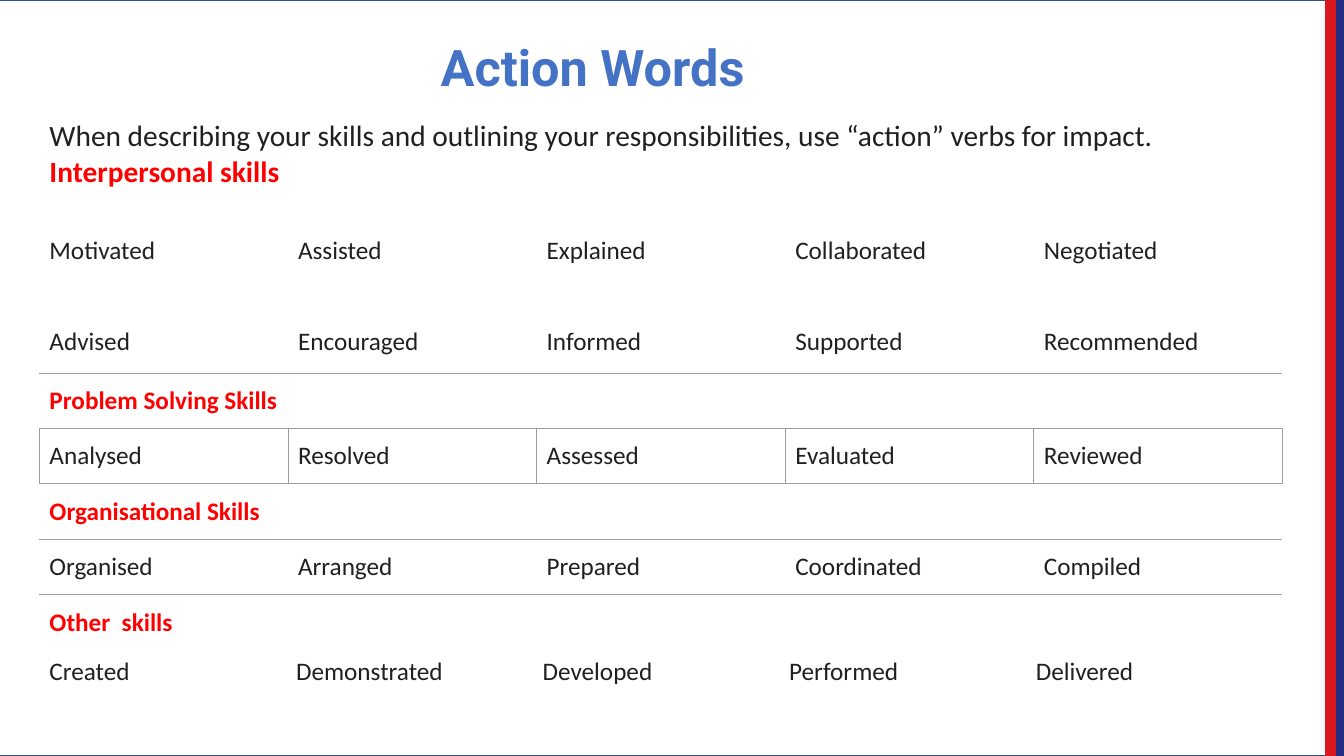
from pptx import Presentation
from pptx.dml.color import RGBColor
from pptx.enum.shapes import MSO_SHAPE
from pptx.enum.text import MSO_ANCHOR, PP_ALIGN
from pptx.oxml.ns import qn
from pptx.oxml.xmlchemy import OxmlElement
from pptx.util import Emu, Inches, Pt

RECTANGLE = MSO_SHAPE.RECTANGLE
MIDDLE, LEFT = MSO_ANCHOR.MIDDLE, PP_ALIGN.LEFT
INSET = Inches(0.1)
PLAIN_TABLE = "{2D5ABB26-0587-4C30-8999-92F81FD0307C}"
INK, RED, BLUE, RULE = "231F20", "FF0000", "4472C4", "9E9E9E"
INTRO = ("When describing your skills and outlining your responsibilities, "
         "use “action” verbs for impact.")

SKILL_ROWS = [
    (15.07, [INTRO + "\nInterpersonal skills"], ""),
    (12, ["Motivated", "Assisted", "Explained", "Collaborated", "Negotiated"], ""),
    (7.87, ["Advised", "Encouraged", "Informed", "Supported", "Recommended"], "B"),
    (7.33, ["Problem Solving Skills"], "TB"),
    (7.33, ["Analysed", "Resolved", "Assessed", "Evaluated", "Reviewed"], "LRTB"),
    (7.33, ["Organisational Skills"], "TB"),
    (7.33, ["Organised", "Arranged", "Prepared", "Coordinated", "Compiled"], "T"),
    (7.47, ["Other  skills"], ""),
]
OTHER_ROWS = [
    (6.8, ["Created", "Demonstrated", "Developed", "Performed", "Delivered"], ""),
]


def color(value):
    """Turn a hex string into a colour."""
    return RGBColor.from_string(value)


class SlideBuilder:
    """Draws elements placed by percentages of the slide's size."""

    def __init__(self, deck):
        """Add a title-only slide to the deck."""
        self.deck = deck
        self.slide = deck.slides.add_slide(deck.slide_layouts[5])

    def across(self, share):
        """Give a percentage of the slide's width."""
        return Emu(round(self.deck.slide_width * share / 100))

    def down(self, share):
        """Give a percentage of the slide's height."""
        return Emu(round(self.deck.slide_height * share / 100))

    def style(self, para, size, hue, bold, font="Calibri", spacing=1.08):
        """Format a paragraph and its runs."""
        para.alignment = LEFT
        para.line_spacing = spacing
        para.space_before = Pt(0)
        for span in para.runs:
            span.font.name = font
            span.font.size = Pt(size)
            span.font.bold = bold
            span.font.color.rgb = color(hue)

    def inset(self, holder):
        """Give a frame or a cell equal margins."""
        holder.margin_left = holder.margin_right = INSET
        holder.margin_top = holder.margin_bottom = INSET

    def panel(self, left, width, fill, line):
        """Draw a full-height rectangle."""
        box = self.slide.shapes.add_shape(
            RECTANGLE, self.across(left), 0, self.across(width), self.down(100))
        box.shadow.inherit = False
        box.fill.solid()
        box.fill.fore_color.rgb = color(fill)
        box.line.color.rgb = color(line)
        box.line.width = Pt(1)

    def title(self, text, left, top, width, height):
        """Place the title in front of the panels."""
        box = self.slide.shapes.title
        box.left, box.top = self.across(left), self.down(top)
        box.width, box.height = self.across(width), self.down(height)
        frame = box.text_frame
        frame.text = text
        frame.vertical_anchor = MIDDLE
        self.inset(frame)
        self.style(frame.paragraphs[0], 36, BLUE, True, "Roboto")
        self.slide.shapes._spTree.append(box._element)

    def border(self, cell, side):
        """Rule one side of a cell."""
        line = OxmlElement(f"a:ln{side}")
        line.set("w", str(Pt(0.75)))
        solid = OxmlElement("a:solidFill")
        hue = OxmlElement("a:srgbClr")
        hue.set("val", RULE)
        solid.append(hue)
        line.append(solid)
        cell._tc.get_or_add_tcPr().append(line)

    def word_table(self, rows, left, top, width, columns=5):
        """Draw rows of words, where a single entry spans the row as a heading."""
        height = sum(row[0] for row in rows)
        table = self.slide.shapes.add_table(
            len(rows), columns, self.across(left), self.down(top),
            self.across(width), self.down(height)).table
        table.first_row = table.horz_banding = False
        table._tbl.tblPr.find(qn("a:tableStyleId")).text = PLAIN_TABLE
        for index, (share, words, sides) in enumerate(rows):
            table.rows[index].height = self.down(share)
            cells = [table.cell(index, column) for column in range(columns)]
            for cell in cells:
                self.inset(cell)
                for side in sides:
                    self.border(cell, side)
                cell.fill.background()
            heading = len(words) == 1
            if heading:
                cells[0].merge(cells[-1])
            for cell, text in zip(cells, words):
                cell.text_frame.text = text
                paras = cell.text_frame.paragraphs
                for para in paras:
                    intro = para.text == INTRO
                    large = len(paras) > 1
                    self.style(para, 21 if large else 18,
                               RED if heading and not intro else INK,
                               heading and not intro,
                               spacing=1 if large else 1.08)


def main():
    """Build and save the deck."""
    deck = Presentation()
    deck.slide_width, deck.slide_height = Inches(13.33), Inches(7.5)
    page = SlideBuilder(deck)
    page.panel(-0.68, 99.33, "FFFFFF", "31538F")
    for left, hue in ((99.32, "232D82"), (98.65, "DA1820")):
        page.panel(left, 0.68, hue, hue)
    page.title("Action Words", 32.03, 4.4, 29.33, 8.13)
    page.word_table(SKILL_ROWS, 2.93, 14.4, 92.5)
    page.word_table(OTHER_ROWS, 2.93, 85.2, 91.75)
    deck.save("out.pptx")


if __name__ == "__main__":
    main()
